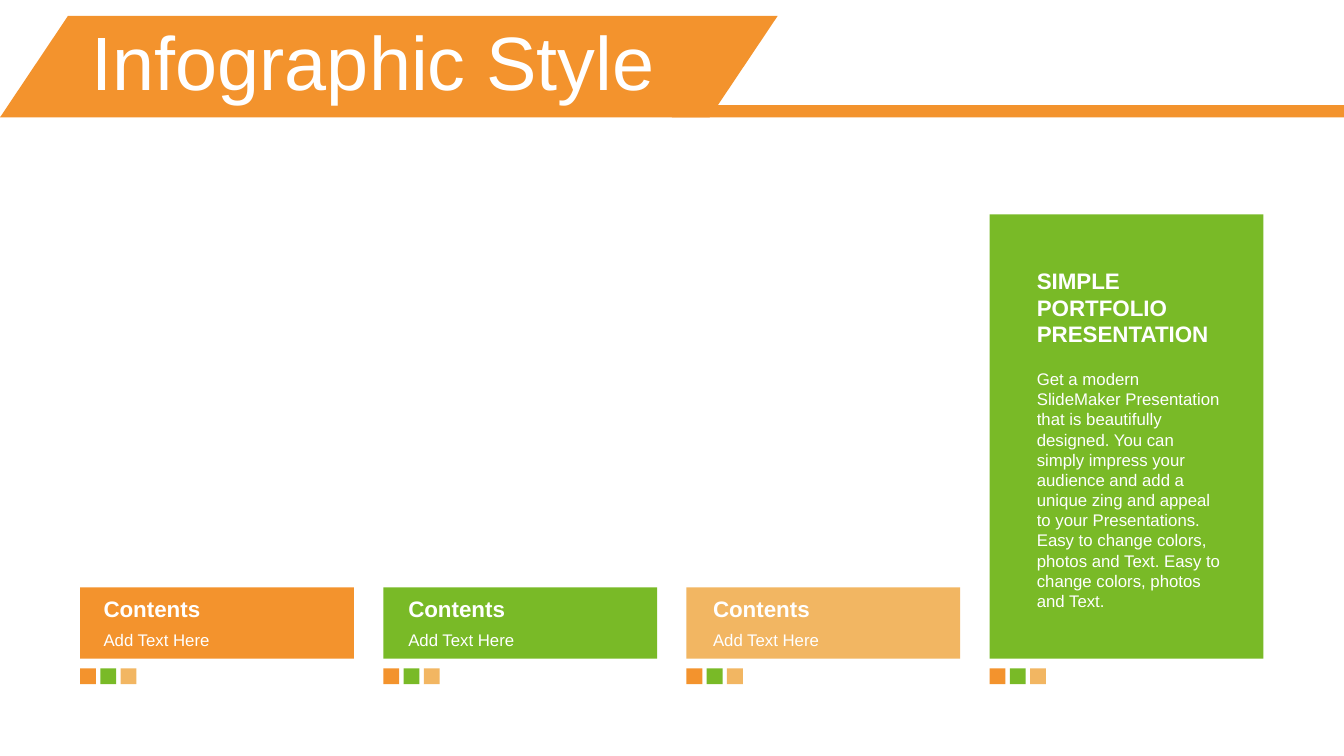
import pptx
import pptx.util
import pptx.dml.color
import pptx.enum.shapes
import pptx.enum.text

Cm = pptx.util.Cm
Kind = pptx.enum.shapes.MSO_SHAPE
Fit = pptx.enum.text.MSO_AUTO_SIZE

HUES = {"orange": "F3932D", "green": "79BA27", "sand": "F2B662", "white": "FFFFFF"}
CARDS = ["orange", "green", "sand"]
LEFT, STEP, WIDTH = 2.02, 7.64, 6.9
BLURB = (
    "Get a modern SlideMaker Presentation that is beautifully designed. "
    "You can simply impress your audience and add a unique zing and appeal "
    "to your Presentations. Easy to change colors, photos and Text. "
    "Easy to change colors, photos and Text."
)


class Deck:
    font = "Arial"

    def __init__(self):
        self.file = pptx.Presentation()
        self.file.slide_width = Cm(33.87)
        self.file.slide_height = Cm(19.05)
        self.slide = self.file.slides.add_slide(self.file.slide_layouts[5])
        self.shapes = self.slide.shapes

    def hue(self, name):
        return pptx.dml.color.RGBColor.from_string(HUES[name])

    def block(self, box, hue, kind=Kind.RECTANGLE, home=None):
        """Add a flat filled shape to the slide, or to the group given as home."""
        shape = (home or self.slide).shapes.add_shape(kind, *map(Cm, box))
        shape.shadow.inherit = False
        shape.fill.solid()
        shape.fill.fore_color.rgb = self.hue(hue)
        shape.line.fill.background()
        return shape

    def add_run(self, para, text, size, bold=False):
        run = para.add_run()
        run.text = text
        run.font.name = self.font
        run.font.size = pptx.util.Pt(size)
        run.font.bold = bold
        run.font.color.rgb = self.hue("white")

    def text(self, box, lines, size, bold=False, wrap=False):
        frame = self.shapes.add_textbox(*map(Cm, box)).text_frame
        frame.word_wrap = wrap
        frame.auto_size = Fit.SHAPE_TO_FIT_TEXT
        for i, line in enumerate(lines):
            para = frame.add_paragraph() if i else frame.paragraphs[0]
            self.add_run(para, line, size, bold)

    def title(self, box, text):
        """Fill the title placeholder and bring it in front of the banner."""
        title = self.shapes.title
        title.left, title.top, title.width, title.height = map(Cm, box)
        frame = title.text_frame
        frame.auto_size = Fit.NONE
        frame.vertical_anchor = pptx.enum.text.MSO_ANCHOR.MIDDLE
        para = frame.paragraphs[0]
        para.alignment = pptx.enum.text.PP_ALIGN.LEFT
        para.line_spacing = 0.9
        self.add_run(para, text, 54)
        tree = title._element.getparent()
        tree.append(title._element)

    def chips(self, left):
        group = self.shapes.add_group_shape()
        for i, hue in enumerate(CARDS):
            self.block((left + i * 0.51, 16.84, 0.4, 0.4), hue, home=group)


def main():
    deck = Deck()
    deck.block((16.93, 2.65, 16.94, 0.31), "orange")
    banner = deck.block((0, 0.4, 19.6, 2.56), "orange", Kind.PARALLELOGRAM)
    banner.adjustments[0] = 0.67
    deck.title((2.06, 0.66, 31.09, 2), "Infographic Style")

    for i, hue in enumerate(CARDS):
        left = LEFT + i * STEP
        deck.block((left, 14.8, WIDTH, 1.8), hue)
        inner = 2.36 + i * 7.68
        deck.text((inner, 14.88, 2.97, 0.94), ["Contents"], 16, bold=True)
        deck.text((inner, 15.75, 3.2, 0.76), ["Add Text Here"], 12)
        deck.chips(left)

    last = LEFT + len(CARDS) * STEP
    deck.block((last, 5.4, WIDTH, 11.2), "green")
    deck.chips(last)
    deck.text((25.88, 9.17, 5.18, 6.4), [BLURB], 12, wrap=True)
    deck.text((25.88, 6.6, 5.18, 2.31), ["SIMPLE", "PORTFOLIO PRESENTATION"],
              16, bold=True, wrap=True)
    deck.file.save("out.pptx")


if __name__ == "__main__":
    main()
